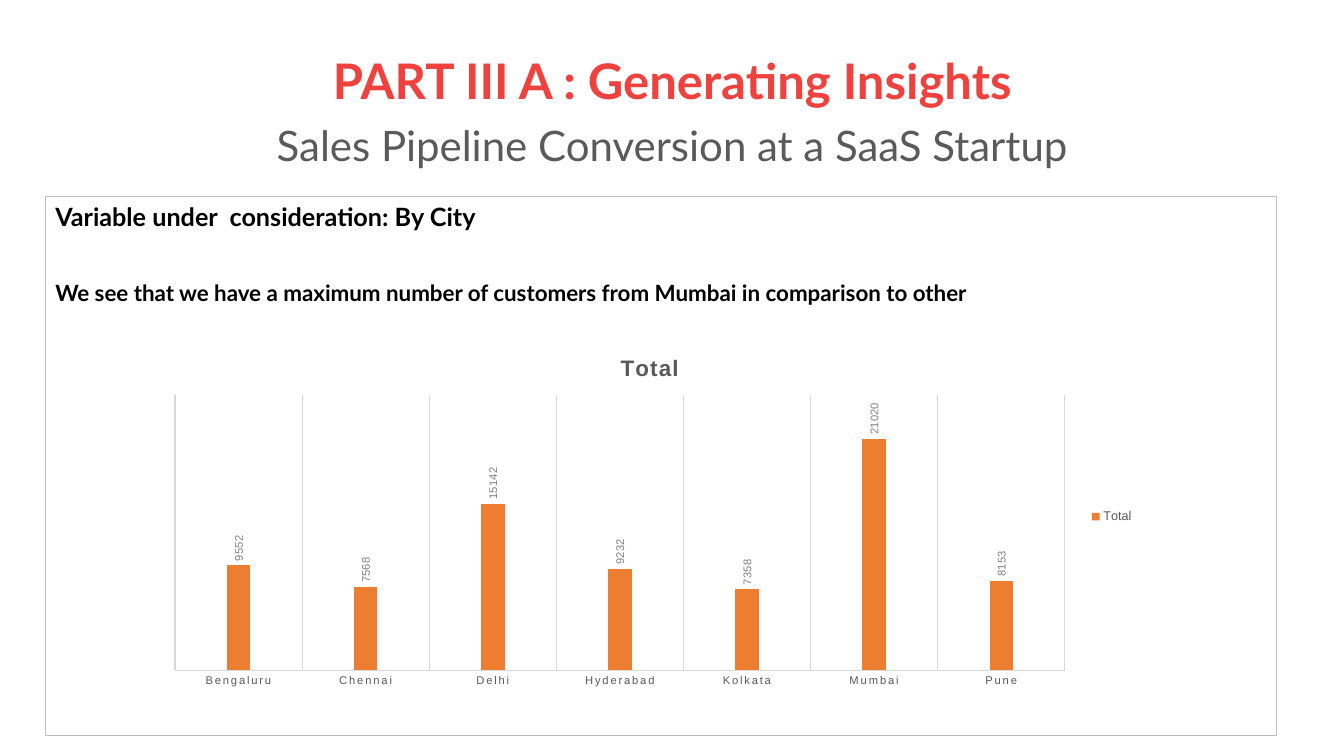
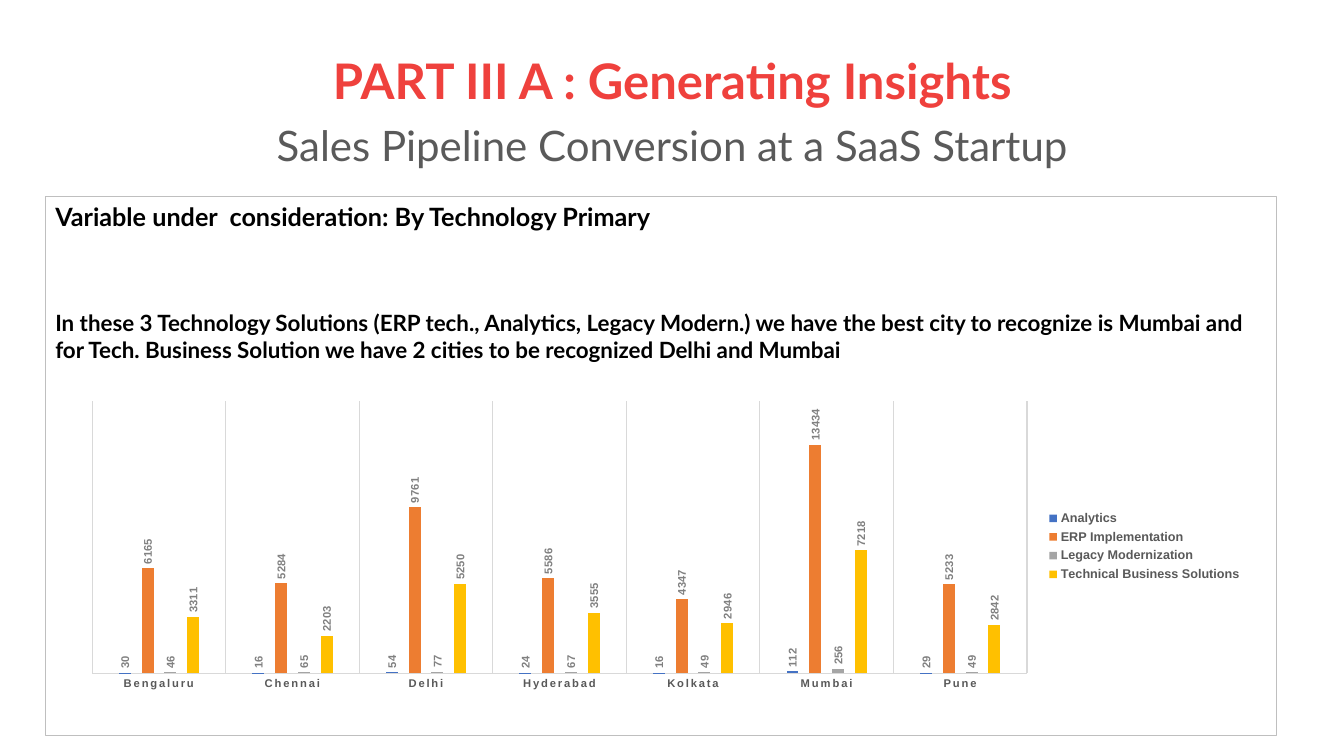
from dataclasses import dataclass

from lxml import etree
from pptx import Presentation
from pptx.chart.chart import Chart
from pptx.chart.data import CategoryChartData
from pptx.dml.color import RGBColor
from pptx.enum.chart import XL_CHART_TYPE, XL_LABEL_POSITION, XL_LEGEND_POSITION, XL_TICK_MARK
from pptx.enum.shapes import MSO_SHAPE
from pptx.enum.text import MSO_ANCHOR, MSO_AUTO_SIZE, PP_ALIGN
from pptx.oxml.ns import qn
from pptx.slide import Slide
from pptx.util import Pt

CLUSTERED = XL_CHART_TYPE.COLUMN_CLUSTERED
OUTSIDE_END = XL_LABEL_POSITION.OUTSIDE_END
LEGEND_RIGHT = XL_LEGEND_POSITION.RIGHT
NO_TICK = XL_TICK_MARK.NONE
RECTANGLE = MSO_SHAPE.RECTANGLE
LEFT, CENTER = PP_ALIGN.LEFT, PP_ALIGN.CENTER
TOP, MIDDLE = MSO_ANCHOR.TOP, MSO_ANCHOR.MIDDLE
NO_AUTOFIT = MSO_AUTO_SIZE.NONE
TITLE_ONLY = 5


@dataclass(frozen=True)
class Theme:
    text_font: str = "Lato"
    chart_font: str = "Arial"
    heading: str = "EF413D"
    subtitle: str = "5A5A5A"
    ink: str = "000000"
    border: str = "BFBFBF"
    axis_text: str = "595959"
    value_text: str = "808080"
    grid: str = "D9D9D9"
    blue: str = "4472C4"
    orange: str = "ED7D31"
    gray: str = "A5A5A5"
    gold: str = "FFC000"
    heading_size: float = 35
    subtitle_size: float = 30
    variable_size: float = 18
    finding_size: float = 16
    chart_title_size: float = 16
    chart_size: float = 10
    legend_size: float = 9
    label_size: float = 8
    hairline: float = 0.75


@dataclass(frozen=True)
class Box:
    left: float
    top: float
    width: float
    height: float

    def in_points(self) -> tuple[Pt, Pt, Pt, Pt]:
        return Pt(self.left), Pt(self.top), Pt(self.width), Pt(self.height)


@dataclass(frozen=True)
class Series:
    name: str
    values: tuple[int, ...]
    color: str


@dataclass(frozen=True)
class Insight:
    variable: str
    finding: str
    finding_gap: float
    chart_box: Box
    plot_share: Box
    axis_maximum: int
    series: tuple[Series, ...]
    chart_title: str = ""
    bold: bool = False


THEME = Theme()
TITLE_BOX = Box(66.24, 28.8, 828, 104.4)
PANEL_BOX = Box(32.4, 140.4, 879.12, 385.2)
HEADING = "PART III A : Generating Insights"
SUBTITLE = "Sales Pipeline Conversion at a SaaS Startup"
CITIES = ("Bengaluru", "Chennai", "Delhi", "Hyderabad", "Kolkata", "Mumbai", "Pune")

INSIGHTS = (
    Insight(
        "Variable under  consideration: By City",
        "We see that we have a maximum number of customers from Mumbai in comparison to other",
        33.6,
        Box(110.88, 241.2, 706.32, 255.6),
        Box(0.02, 0.16, 0.9, 0.77),
        25000,
        (Series("Total", (9552, 7568, 15142, 9232, 7358, 21020, 8153), THEME.orange),),
        chart_title="Total",
    ),
    Insight(
        "Variable under  consideration: By Technology Primary",
        "In these 3 Technology Solutions (ERP tech., Analytics, Legacy Modern.) we have the best "
        "city to recognize is Mumbai and for Tech. Business Solution we have 2 cities to be "
        "recognized Delhi and Mumbai",
        55.2,
        Box(48.96, 282.24, 845.28, 216),
        Box(0.02, 0.02, 0.79, 0.9),
        16000,
        (
            Series("Analytics", (30, 16, 54, 24, 16, 112, 29), THEME.blue),
            Series("ERP Implementation", (6165, 5284, 9761, 5586, 4347, 13434, 5233), THEME.orange),
            Series("Legacy Modernization", (46, 65, 77, 67, 49, 256, 49), THEME.gray),
            Series("Technical Business Solutions", (3311, 2203, 5250, 3555, 2946, 7218, 2842), THEME.gold),
        ),
        bold=True,
    ),
)


def style_font(font, size: float, color: str, bold: bool, name: str) -> None:
    """Apply size, colour, weight and family to a font."""
    font.size, font.bold, font.name = Pt(size), bold, name
    font.color.rgb = RGBColor.from_string(color)


def style_line(line, color: str) -> None:
    """Give a line the hairline width and a colour."""
    line.width = Pt(THEME.hairline)
    line.color.rgb = RGBColor.from_string(color)


def write_paragraph(paragraph, text: str, size: float, color: str, bold: bool,
                    align: PP_ALIGN, gap: float = 0) -> None:
    """Fill a paragraph with styled text."""
    paragraph.text = text
    paragraph.alignment, paragraph.space_before = align, Pt(gap)
    style_font(paragraph.font, size, color, bold, THEME.text_font)


def add_heading(slide: Slide) -> None:
    """Place the shared heading and subtitle in the title placeholder."""
    title = slide.shapes.title
    title.left, title.top, title.width, title.height = TITLE_BOX.in_points()
    frame = title.text_frame
    frame.auto_size, frame.vertical_anchor, frame.word_wrap = NO_AUTOFIT, MIDDLE, True
    heading, subtitle = frame.paragraphs[0], frame.add_paragraph()
    write_paragraph(heading, HEADING, THEME.heading_size, THEME.heading, True, CENTER)
    write_paragraph(subtitle, SUBTITLE, THEME.subtitle_size, THEME.subtitle, False, CENTER, 10.8)
    heading.line_spacing = subtitle.line_spacing = 0.9


def add_panel(slide: Slide, insight: Insight) -> None:
    """Draw the outlined panel with the variable and its finding."""
    panel = slide.shapes.add_shape(RECTANGLE, *PANEL_BOX.in_points())
    panel.shadow.inherit = False
    panel.fill.background()
    style_line(panel.line, THEME.border)
    frame = panel.text_frame
    frame.vertical_anchor, frame.word_wrap = TOP, True
    write_paragraph(frame.paragraphs[0], insight.variable, THEME.variable_size, THEME.ink, True, LEFT)
    write_paragraph(frame.add_paragraph(), insight.finding, THEME.finding_size, THEME.ink, True, LEFT,
                    insight.finding_gap)


def place_plot(chart: Chart, share: Box) -> None:
    """Fix the inner plot area as shares of the chart frame."""
    plot_area = chart._chartSpace.xpath("c:chart/c:plotArea")[0]
    for automatic in plot_area.findall(qn("c:layout")):
        plot_area.remove(automatic)
    layout = etree.Element(qn("c:layout"))
    plot_area.insert(0, layout)
    manual = etree.SubElement(layout, qn("c:manualLayout"))
    settings = (("layoutTarget", "inner"), ("xMode", "edge"), ("yMode", "edge"), ("x", share.left),
                ("y", share.top), ("w", share.width), ("h", share.height))
    for tag, value in settings:
        etree.SubElement(manual, qn(f"c:{tag}")).set("val", str(value))


def format_axes(chart: Chart, insight: Insight) -> None:
    """Show city names with vertical gridlines and hide the value axis."""
    cities, counts = chart.category_axis, chart.value_axis
    cities.major_tick_mark = cities.minor_tick_mark = NO_TICK
    style_line(cities.format.line, THEME.grid)
    cities.has_major_gridlines = True
    style_line(cities.major_gridlines.format.line, THEME.grid)
    style_font(cities.tick_labels.font, THEME.label_size, THEME.axis_text, insight.bold, THEME.chart_font)
    cities._element.xpath("c:txPr//a:defRPr")[0].set("spc", "120")
    counts.has_major_gridlines, counts.visible = False, False
    counts.minimum_scale, counts.maximum_scale = 0, insight.axis_maximum


def format_series(chart: Chart, insight: Insight) -> None:
    """Colour the columns and stand their values upright above them."""
    plot = chart.plots[0]
    plot.gap_width, plot.overlap, plot.vary_by_categories = 444, -90, False
    for columns, series in zip(plot.series, insight.series):
        columns.invert_if_negative = False
        columns.format.fill.solid()
        columns.format.fill.fore_color.rgb = RGBColor.from_string(series.color)
        labels = columns.data_labels
        labels.show_value, labels.position = True, OUTSIDE_END
        style_font(labels.font, THEME.label_size, THEME.value_text, insight.bold, THEME.chart_font)
        labels._element.xpath("c:txPr/a:bodyPr")[0].set("rot", "-5400000")


def format_captions(chart: Chart, insight: Insight) -> None:
    """Set the chart title, where there is one, and the legend."""
    chart.has_title = bool(insight.chart_title)
    if insight.chart_title:
        paragraph = chart.chart_title.text_frame.paragraphs[0]
        caption = paragraph.add_run()
        caption.text = insight.chart_title
        style_font(caption.font, THEME.chart_title_size, THEME.axis_text, True, THEME.chart_font)
        caption._r.get_or_add_rPr().set("spc", "100")
    chart.has_legend = True
    chart.legend.position, chart.legend.include_in_layout = LEGEND_RIGHT, False
    style_font(chart.legend.font, THEME.legend_size, THEME.axis_text, insight.bold, THEME.chart_font)


def add_city_chart(slide: Slide, insight: Insight) -> None:
    """Add the column chart of customers by city."""
    data = CategoryChartData()
    data.categories = CITIES
    for series in insight.series:
        data.add_series(series.name, series.values)
    chart = slide.shapes.add_chart(CLUSTERED, *insight.chart_box.in_points(), data).chart
    style_font(chart.font, THEME.chart_size, THEME.ink, insight.bold, THEME.chart_font)
    format_captions(chart, insight)
    format_axes(chart, insight)
    format_series(chart, insight)
    place_plot(chart, insight.plot_share)


def main() -> None:
    """Build and save the presentation."""
    presentation = Presentation()
    presentation.slide_width, presentation.slide_height = Pt(960), Pt(540)
    for insight in INSIGHTS:
        slide = presentation.slides.add_slide(presentation.slide_layouts[TITLE_ONLY])
        add_heading(slide)
        add_panel(slide, insight)
        add_city_chart(slide, insight)
    presentation.save("out.pptx")


if __name__ == "__main__":
    main()
